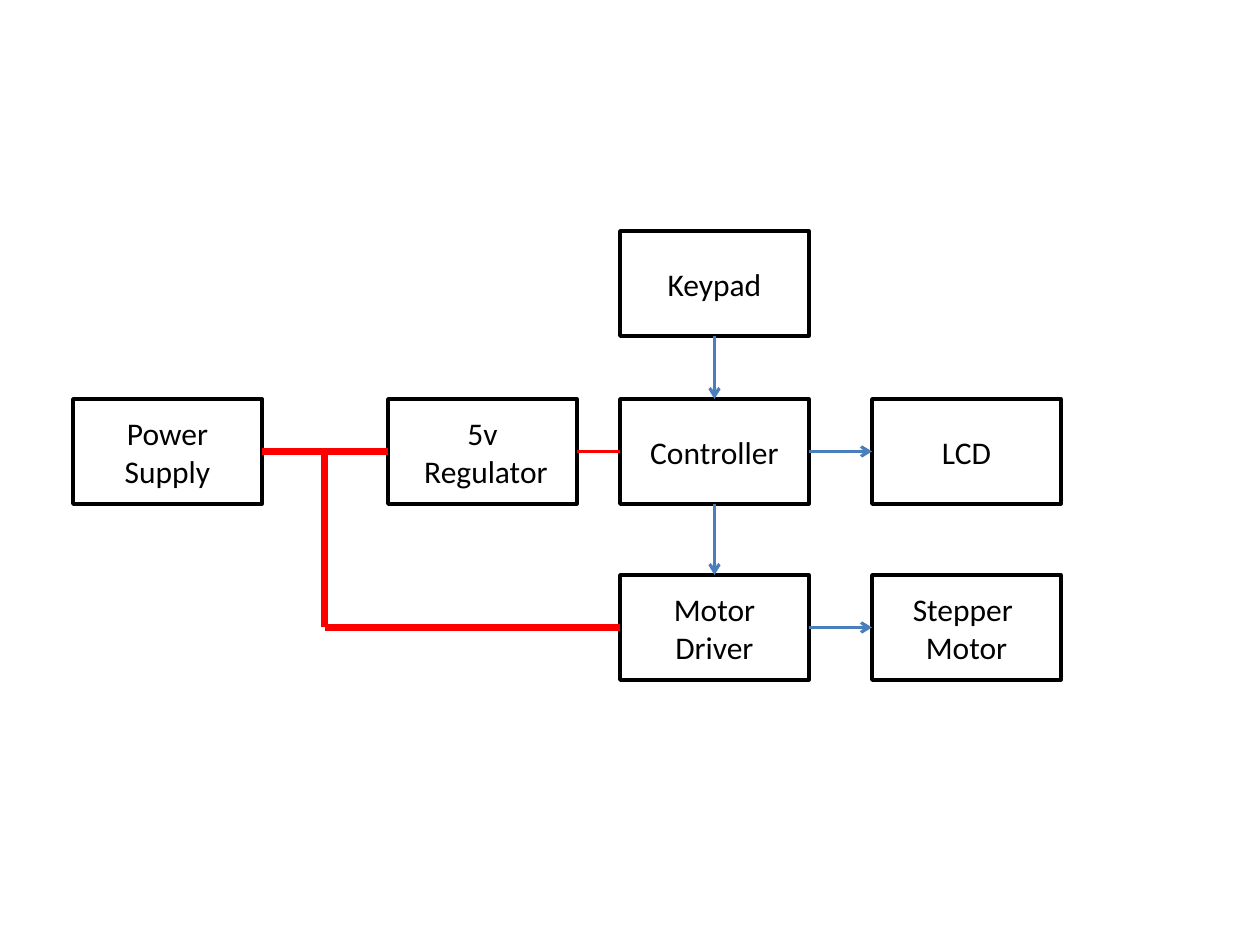
from dataclasses import dataclass
from lxml import etree
from pptx import Presentation
from pptx.dml.color import RGBColor
from pptx.enum.shapes import MSO_CONNECTOR, MSO_SHAPE
from pptx.enum.text import MSO_ANCHOR, PP_ALIGN
from pptx.oxml.ns import qn
from pptx.util import Pt

RECT = MSO_SHAPE.RECTANGLE
LINE = MSO_CONNECTOR.STRAIGHT
MIDDLE = MSO_ANCHOR.MIDDLE
CENTER = PP_ALIGN.CENTER
TOP, LEFT, BOTTOM, RIGHT = range(4)
PX = 914400 // 126


@dataclass(frozen=True)
class Theme:
    """Colours, font and sizes of the diagram."""
    ink: RGBColor = RGBColor(0, 0, 0)
    paper: RGBColor = RGBColor(255, 255, 255)
    power: RGBColor = RGBColor(255, 0, 0)
    signal: RGBColor = RGBColor(0x4B, 0x7E, 0xBC)
    font: str = "Calibri"
    size: float = 18
    edge: float = 2
    thick: float = 4
    thin: float = 1.75


theme = Theme()


def write(frame, text, size=theme.size, color=theme.ink, align=CENTER):
    """Fill a text frame, one paragraph for each line of text."""
    frame.word_wrap = True
    frame.vertical_anchor = MIDDLE
    frame.text = text
    for para in frame.paragraphs:
        para.alignment = align
        font = para.runs[0].font
        font.name, font.size = theme.font, Pt(size)
        font.color.rgb = color


def link(start, end, color, width, arrow=False):
    """Draw a line between two points given in EMU."""
    wire = slide.shapes.add_connector(LINE, *start, *end)
    wire.line.color.rgb = color
    wire.line.width = Pt(width)
    props = wire._element.spPr
    if arrow:
        etree.SubElement(props.find(qn("a:ln")), qn("a:tailEnd"), type="arrow")
    etree.SubElement(props, qn("a:effectLst"))
    return wire


deck = Presentation()
deck.slide_width, deck.slide_height = 1260 * PX, 945 * PX
slide = deck.slides.add_slide(deck.slide_layouts[6])

# Blocks sit on a grid of columns and rows
cols = [73, 388, 620, 872]
rows = [231, 399, 575]
wide, high = 189, 105
blocks = [
    ("supply", "Power Supply", 0, 1),
    ("reg", "5v\n Regulator", 1, 1),
    ("control", "Controller", 2, 1),
    ("lcd", "LCD", 3, 1),
    ("keypad", "Keypad", 2, 0),
    ("driver", "Motor Driver", 2, 2),
    ("motor", "Stepper \nMotor", 3, 2),
]
boxes = {}
for name, text, col, row in blocks:
    box = slide.shapes.add_shape(
        RECT, cols[col] * PX, rows[row] * PX, wide * PX, high * PX)
    box.shadow.inherit = False
    box.fill.solid()
    box.fill.fore_color.rgb = theme.paper
    box.line.color.rgb = theme.ink
    box.line.width = Pt(theme.edge)
    write(box.text_frame, text)
    boxes[name] = box

# Lines glued to the sides of two blocks
red = (theme.power, theme.thick)
thin = (theme.power, theme.thin)
blue = (theme.signal, theme.thin, True)
joins = [
    ("supply", RIGHT, "reg", LEFT, red),
    ("reg", RIGHT, "control", LEFT, thin),
    ("keypad", BOTTOM, "control", TOP, blue),
    ("control", RIGHT, "lcd", LEFT, blue),
    ("control", BOTTOM, "driver", TOP, blue),
    ("driver", RIGHT, "motor", LEFT, blue),
]
for first, out, last, into, style in joins:
    wire = link((0, 0), (0, 0), *style)
    wire.begin_connect(boxes[first], out)
    wire.end_connect(boxes[last], into)

# Power branch from the supply line down to the motor driver
gap = (cols[0] + wide + cols[1]) // 2 * PX
upper, lower = [row * PX + high * PX // 2 for row in rows[1:]]
link((gap, lower), (gap, upper), *red)
branch = link((gap, lower), (cols[2] * PX, lower), *red)
branch.end_connect(boxes["driver"], LEFT)

deck.save("out.pptx")
